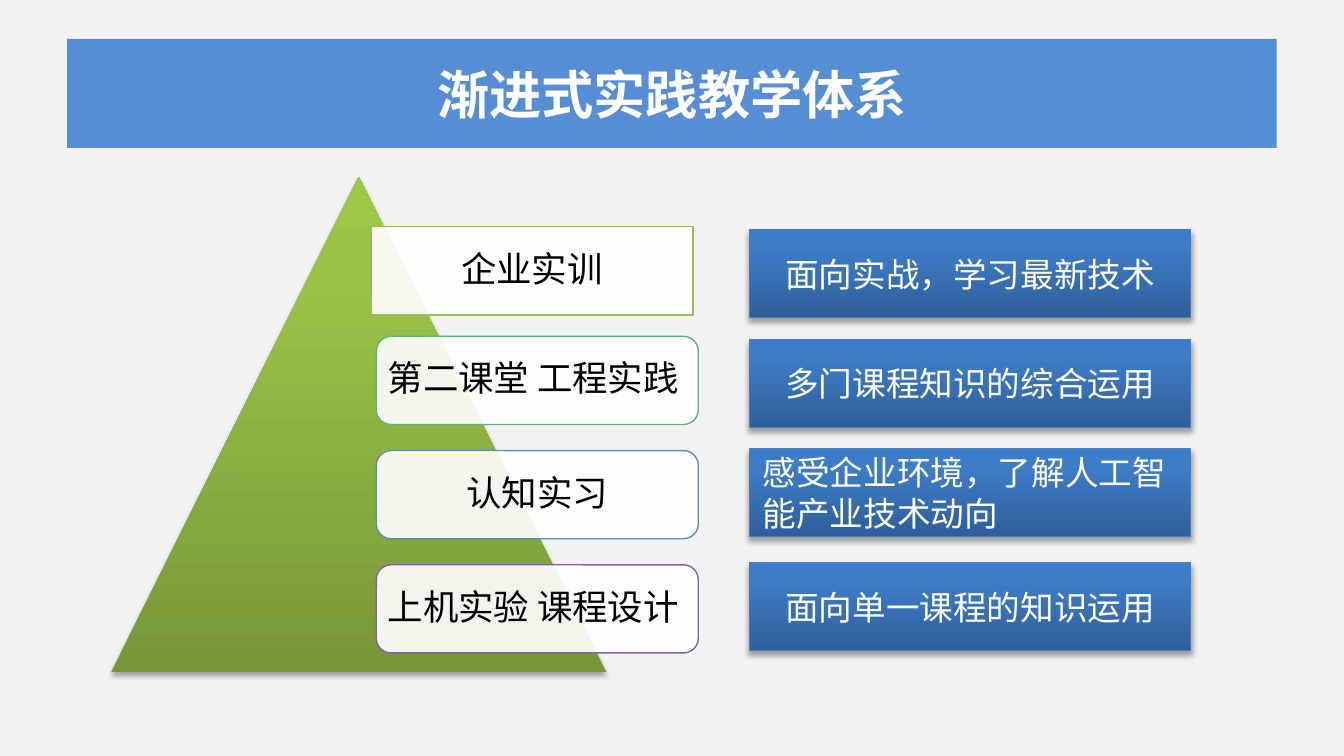
from copy import deepcopy

from lxml import etree
from pptx import Presentation
from pptx.dml.color import RGBColor
from pptx.enum import shapes, text
from pptx.oxml import ns
from pptx.util import Pt

# Content: (label, label left, label top, outline, aim, aim top, aim alignment)
TITLE = "渐进式实践教学体系"
CENTER, LEFT = text.PP_ALIGN.CENTER, text.PP_ALIGN.LEFT
RECT = shapes.MSO_SHAPE.RECTANGLE
ROUND = shapes.MSO_SHAPE.ROUNDED_RECTANGLE
LEVELS = [
    ("企业实训", RECT, 198.7, 121.5, "9BBB59",
     "面向实战，学习最新技术", 123.1, CENTER),
    ("第二课堂 工程实践 ", ROUND, 201.6, 180.2, "5CB37C",
     "多门课程知识的综合运用", 182, CENTER),
    ("认知实习", ROUND, 201.6, 241.4, "608CAB",
     "感受企业环境，了解人工智能产业技术动向", 240.5, LEFT),
    ("上机实验 课程设计 ", ROUND, 201.6, 302.6, "8064A2",
     "面向单一课程的知识运用", 301.7, CENTER),
]

THEME = {
    "background": "F2F2F2",
    "banner": "558ED5",
    "white": "FFFFFF",
    "black": "000000",
    "aim line": "4B7EBC",
    "green": [(0, "779737"), (0.8, "9BC348"), (1, "9DC746")],
    "blue": [(0, "2F5F99"), (0.8, "3D7CC7"), (1, "3A7CCB")],
    "title": ("Noto Sans CJK SC", 28),
    "label": ("Calibri", 19),
    "aim": ("Lato", 18),
}


def rgb(value):
    return RGBColor.from_string(value)


def place(shape, left, top, width, height):
    shape.left, shape.top = Pt(left), Pt(top)
    shape.width, shape.height = Pt(width), Pt(height)


def add_block(slide, kind, left, top, width, height, line=None):
    block = slide.shapes.add_shape(kind, Pt(left), Pt(top), Pt(width), Pt(height))
    block.shadow.inherit = False
    if line:
        block.line.color.rgb = rgb(line)
        block.line.width = Pt(0.75)
    else:
        block.line.fill.background()
    return block


def fill_solid(shape, color, opacity=100):
    shape.fill.solid()
    shape.fill.fore_color.rgb = rgb(color)
    if opacity < 100:
        tone = shape._element.spPr.find(ns.qn("a:solidFill"))[0]
        etree.SubElement(tone, ns.qn("a:alpha"), val=str(opacity * 1000))


def fill_gradient(shape, stops):
    """Three-stop gradient running from bottom to top."""
    shape.fill.gradient()
    shape.fill.gradient_angle = 90
    stop_list = shape._element.spPr.find(".//" + ns.qn("a:gsLst"))
    stop_list.append(deepcopy(stop_list[-1]))
    for stop, (position, color) in zip(shape.fill.gradient_stops, stops):
        stop.position = position
        stop.color.rgb = rgb(color)


def add_shadow(shape):
    effects = shape._element.spPr.find(ns.qn("a:effectLst"))
    shadow = etree.SubElement(
        effects, ns.qn("a:outerShdw"), blurRad=str(Pt(3.1)), dist=str(Pt(1.8)),
        dir="5400000", rotWithShape="0")
    tone = etree.SubElement(shadow, ns.qn("a:srgbClr"), val=THEME["black"])
    etree.SubElement(tone, ns.qn("a:alpha"), val="35000")


def write(shape, words, style, color, align=CENTER, bold=False, spacing=None):
    frame = shape.text_frame
    frame.word_wrap = True
    frame.vertical_anchor = text.MSO_ANCHOR.MIDDLE
    frame.text = words
    paragraph = frame.paragraphs[0]
    paragraph.alignment = align
    if spacing:
        paragraph.line_spacing = spacing
    font = paragraph.font
    font.name, size = THEME[style]
    font.size = Pt(size)
    font.bold = bold
    font.color.rgb = rgb(color)


def main():
    deck = Presentation()
    deck.slide_width, deck.slide_height = Pt(720), Pt(405)
    slide = deck.slides.add_slide(deck.slide_layouts[5])
    slide.background.fill.solid()
    slide.background.fill.fore_color.rgb = rgb(THEME["background"])

    # Title banner
    banner = slide.shapes.title
    place(banner, 36, 20.9, 648, 58.3)
    fill_solid(banner, THEME["banner"])
    write(banner, TITLE, "title", THEME["white"], bold=True)

    # Pyramid
    pyramid = add_block(slide, shapes.MSO_SHAPE.ISOSCELES_TRIANGLE,
                        59.5, 94.8, 265.4, 265.4)
    fill_gradient(pyramid, THEME["green"])
    add_shadow(pyramid)

    # Levels with their aims
    for name, kind, left, top, outline, aim, aim_top, align in LEVELS:
        label = add_block(slide, kind, left, top, 172.5, 47.2, outline)
        fill_solid(label, THEME["white"], opacity=90)
        label.text_frame.margin_left = label.text_frame.margin_right = Pt(3)
        write(label, name, "label", THEME["black"], spacing=0.9)

        aim_box = add_block(slide, RECT, 401.5, aim_top, 236.4, 47, THEME["aim line"])
        fill_gradient(aim_box, THEME["blue"])
        add_shadow(aim_box)
        write(aim_box, aim, "aim", THEME["white"], align)

    deck.save("out.pptx")


if __name__ == "__main__":
    main()
